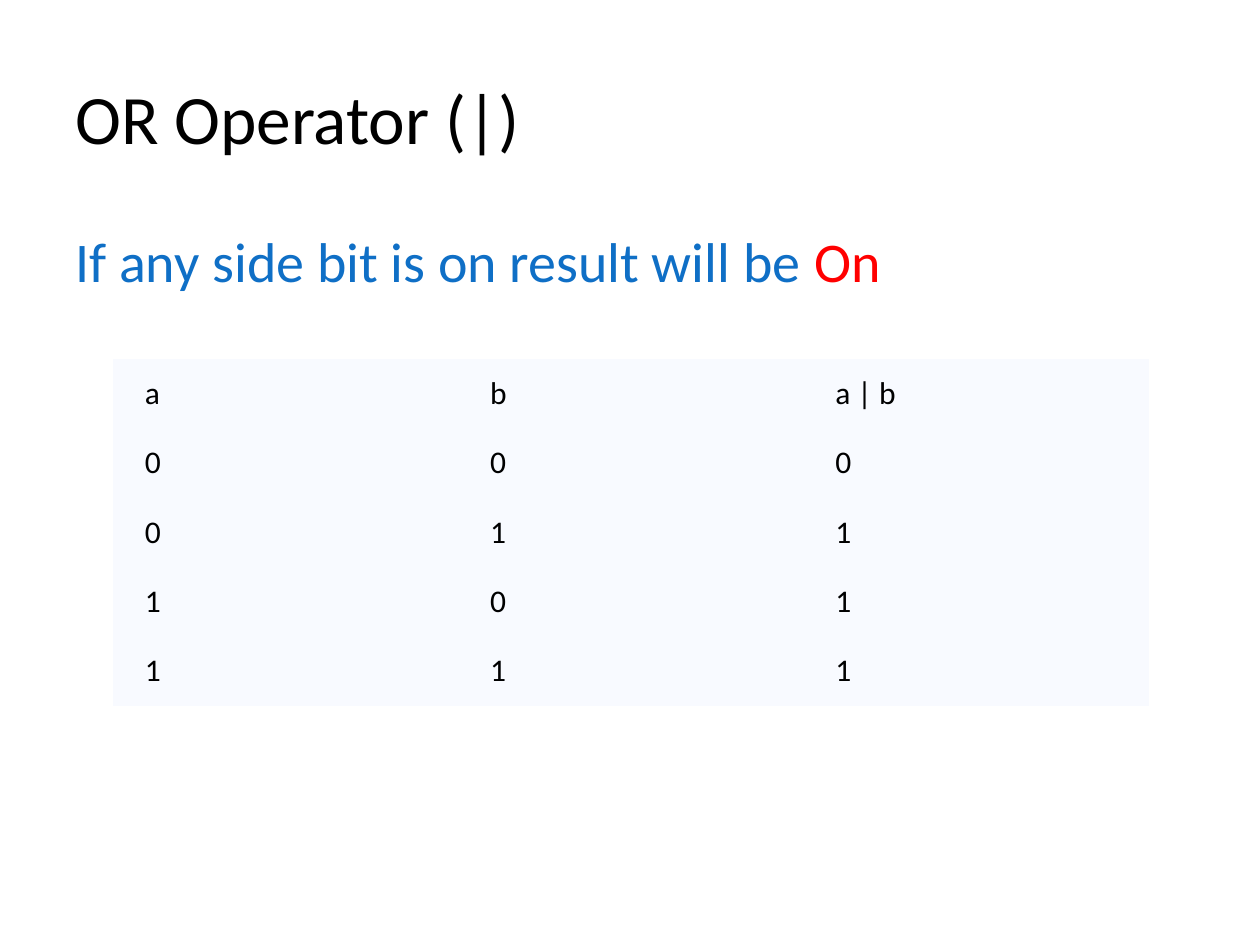
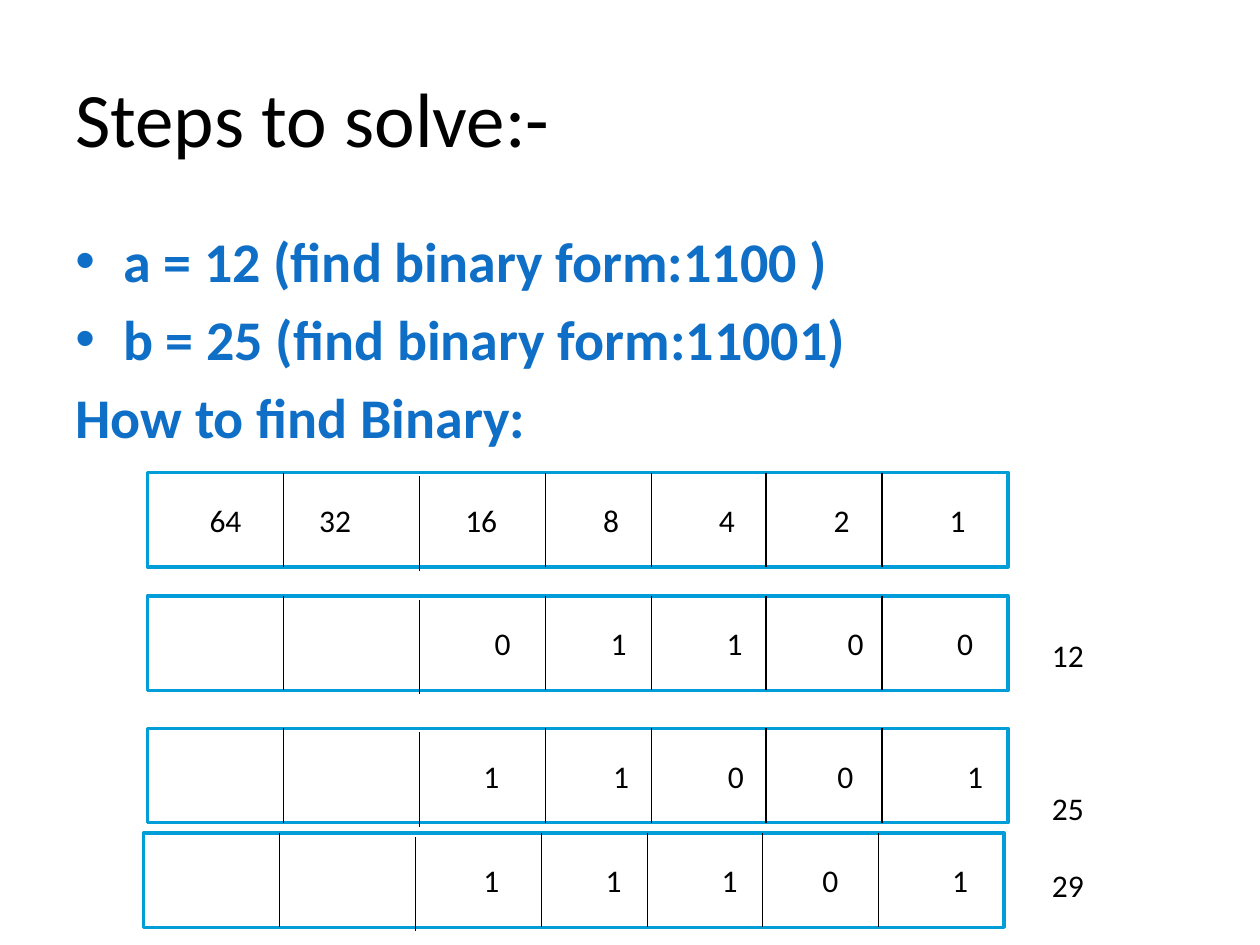
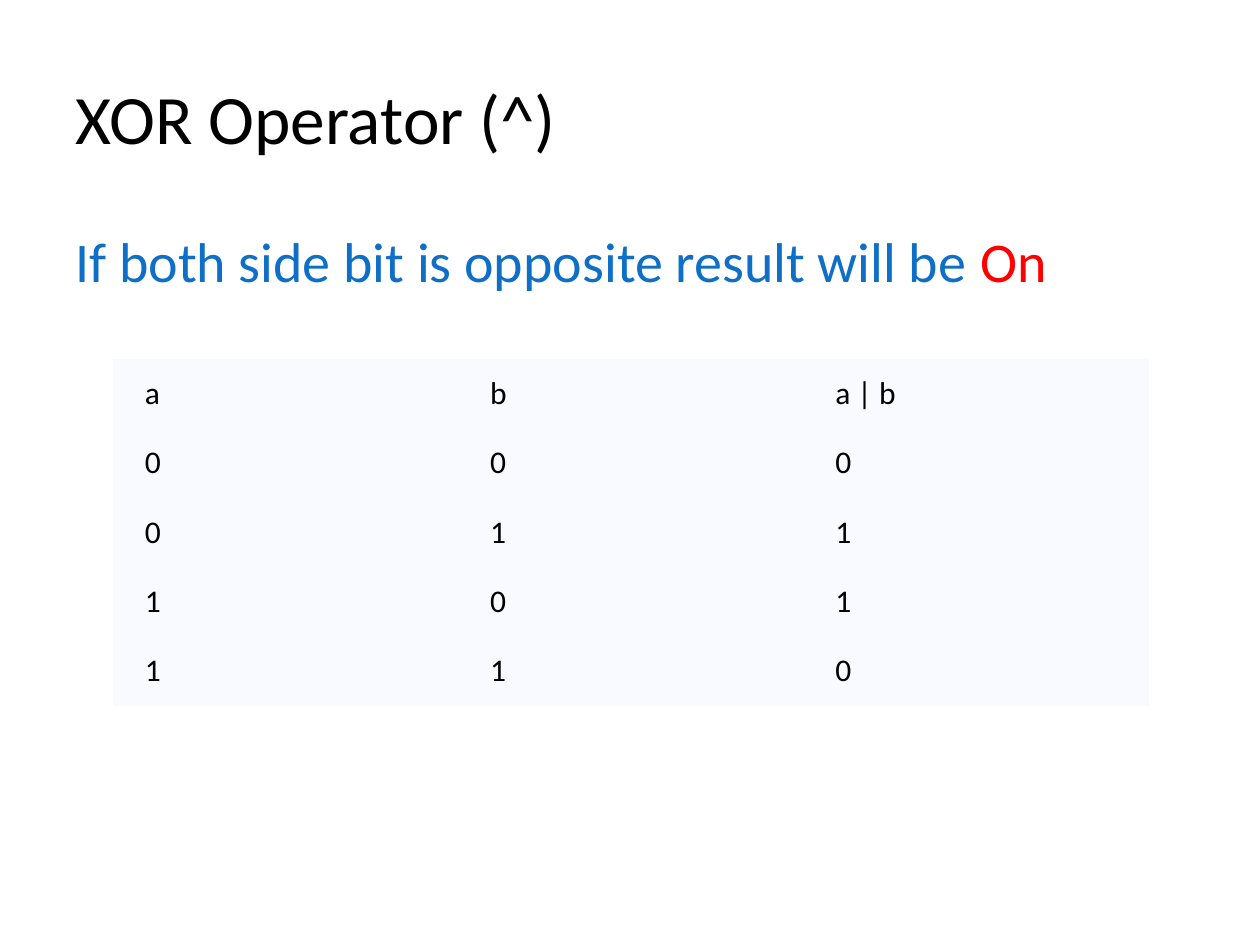
from lxml.etree import SubElement
from pptx import Presentation
from pptx.dml.color import RGBColor
from pptx.enum.shapes import MSO_CONNECTOR as CONN, MSO_SHAPE as SHAPE
from pptx.enum.text import MSO_ANCHOR as ANCHOR, PP_ALIGN as ALIGN
from pptx.oxml.ns import qn
from pptx.util import Inches, Pt

FONT = "Calibri"
BLACK = RGBColor(0x00, 0x00, 0x00)
WHITE = RGBColor(0xFF, 0xFF, 0xFF)
BLUE = RGBColor(0x0F, 0x6F, 0xC6)
CYAN = RGBColor(0x00, 0x9D, 0xD9)
RED = RGBColor(0xFF, 0x00, 0x00)
PALE = RGBColor(0xF8, 0xFA, 0xFF)

NO_STYLE = "{2D5ABB26-0587-4C30-8999-92F81FD0307C}"
INPUTS = [("0", "0"), ("0", "1"), ("1", "0"), ("1", "1")]
COL_W, ROW_H = 2.74, 0.55
BOX_W, BOX_H = 6.83, 0.75
DIVIDERS = [(1.08, 0), (2.16, 0.03), (3.16, 0), (4, 0), (4.91, 0), (5.83, 0)]
BIT_ROWS = [
    (1.17, 3.75, [("64", 0.62), ("32", 1.49), ("16", 2.65), ("8", 3.68),
                  ("4", 4.6), ("2", 5.51), ("1", 6.43)]),
    (1.17, 4.73, [("0", 2.82), ("1", 3.74), ("1", 4.66), ("0", 5.62), ("0", 6.49)]),
    (1.17, 5.78, [("1", 2.73), ("1", 3.76), ("0", 4.67), ("0", 5.54), ("1", 6.57)]),
    (1.14, 6.61, [("1", 2.76), ("1", 3.73), ("1", 4.65), ("0", 5.45), ("1", 6.48)]),
]


def add_run(p, text, size, color=BLACK, bold=False):
    r = p.add_run()
    r.text = text
    r.font.name = FONT
    r.font.size = Pt(size)
    r.font.color.rgb = color
    r.font.bold = bold


def add_text_box(s, x, y, w, h, anchor=ANCHOR.TOP):
    tf = s.shapes.add_textbox(Inches(x), Inches(y), Inches(w), Inches(h)).text_frame
    tf.word_wrap = True
    tf.vertical_anchor = anchor
    return tf


def add_slide(prs, title, size):
    s = prs.slides.add_slide(prs.slide_layouts[6])
    tf = add_text_box(s, 0.5, 0.3, 9, 1.25, ANCHOR.MIDDLE)
    add_run(tf.paragraphs[0], title, size)
    return s


def add_body(s, paragraphs):
    tf = add_text_box(s, 0.5, 1.75, 9, 4.95)
    for i, (runs, bold, bullet) in enumerate(paragraphs):
        p = tf.add_paragraph() if i else tf.paragraphs[0]
        p.space_before = Pt(6)
        if bullet:
            add_bullet(p)
        for text, color in runs:
            add_run(p, text, 32, color, bold)


def add_bullet(p):
    pPr = p._p.get_or_add_pPr()
    pPr.set("marL", str(Inches(0.38)))
    pPr.set("indent", str(-Inches(0.38)))
    SubElement(pPr, qn("a:buFont"), typeface="Arial")
    SubElement(pPr, qn("a:buChar"), char="•")


def add_truth_table(s, header, results):
    rows = [("a", "b", header)] + [(*ab, res) for ab, res in zip(INPUTS, results)]
    table = s.shapes.add_table(len(rows), 3, Inches(0.9), Inches(2.85),
                               Inches(3 * COL_W), Inches(len(rows) * ROW_H)).table
    table.first_row = table.horz_banding = False
    table._tbl.tblPr.find(qn("a:tableStyleId")).text = NO_STYLE
    for col in table.columns:
        col.width = Inches(COL_W)
    for i, row in enumerate(rows):
        for j, text in enumerate(row):
            cell = table.cell(i, j)
            cell.fill.solid()
            cell.fill.fore_color.rgb = PALE
            cell.vertical_anchor = ANCHOR.MIDDLE
            cell.margin_left = cell.margin_right = Inches(0.25)
            cell.margin_top = cell.margin_bottom = Inches(0.12)
            add_run(cell.text_frame.paragraphs[0], text, 18)


def add_divider(s, x, y):
    line = s.shapes.add_connector(CONN.STRAIGHT, Inches(x), Inches(y),
                                  Inches(x), Inches(y + BOX_H))
    line.line.color.rgb = BLACK
    line.line.width = Pt(0.75)
    SubElement(line._element.spPr, qn("a:effectLst"))


def add_bit_row(s, x, y, bits):
    """Draw a divided box whose bits sit on centred tab stops."""
    sp = s.shapes.add_shape(SHAPE.RECTANGLE, Inches(x), Inches(y),
                            Inches(BOX_W), Inches(BOX_H))
    sp.shadow.inherit = False
    sp.fill.solid()
    sp.fill.fore_color.rgb = WHITE
    sp.line.color.rgb = CYAN
    sp.line.width = Pt(2)
    tf = sp.text_frame
    tf.margin_left = tf.margin_right = 0
    tf.vertical_anchor = ANCHOR.MIDDLE
    p = tf.paragraphs[0]
    p.alignment = ALIGN.LEFT
    tabs = SubElement(p._p.get_or_add_pPr(), qn("a:tabLst"))
    for bit, pos in bits:
        SubElement(tabs, qn("a:tab"), pos=str(Inches(pos)), algn="ctr")
    add_run(p, "".join("\t" + bit for bit, pos in bits), 18)
    for dx, dy in DIVIDERS:
        add_divider(s, x + dx, y + dy)


def add_row_values(s):
    tf = add_text_box(s, 8.25, 5, 0.46, 2.52)
    tf.word_wrap = False
    for i, (value, gap) in enumerate([("12", 0), ("25", 66), ("29", 22)]):
        p = tf.add_paragraph() if i else tf.paragraphs[0]
        p.space_before = Pt(gap)
        add_run(p, value, 18)


def add_operator_slide(prs, title, rule, results):
    s = add_slide(prs, title, 39.6)
    add_body(s, [([(rule + " ", BLUE), ("On", RED)], False, False)])
    add_truth_table(s, "a | b", results)


def add_steps_slide(prs):
    s = add_slide(prs, "Steps to solve:-", 44)
    add_body(s, [
        ([("a = 12 (find binary form:1100 )", BLUE)], True, True),
        ([("b = 25 (find binary form:11001)", BLUE)], True, True),
        ([("How to find Binary:", BLUE)], True, False),
    ])
    for x, y, bits in BIT_ROWS:
        add_bit_row(s, x, y, bits)
    add_row_values(s)


def main():
    prs = Presentation()
    prs.slide_width, prs.slide_height = Inches(10), Inches(7.5)
    add_operator_slide(prs, "OR Operator (|)",
                       "If any side bit is on result will be", "0111")
    add_steps_slide(prs)
    add_operator_slide(prs, "XOR Operator (^)",
                       "If both side bit is opposite result will be", "0110")
    prs.save("out.pptx")


main()
